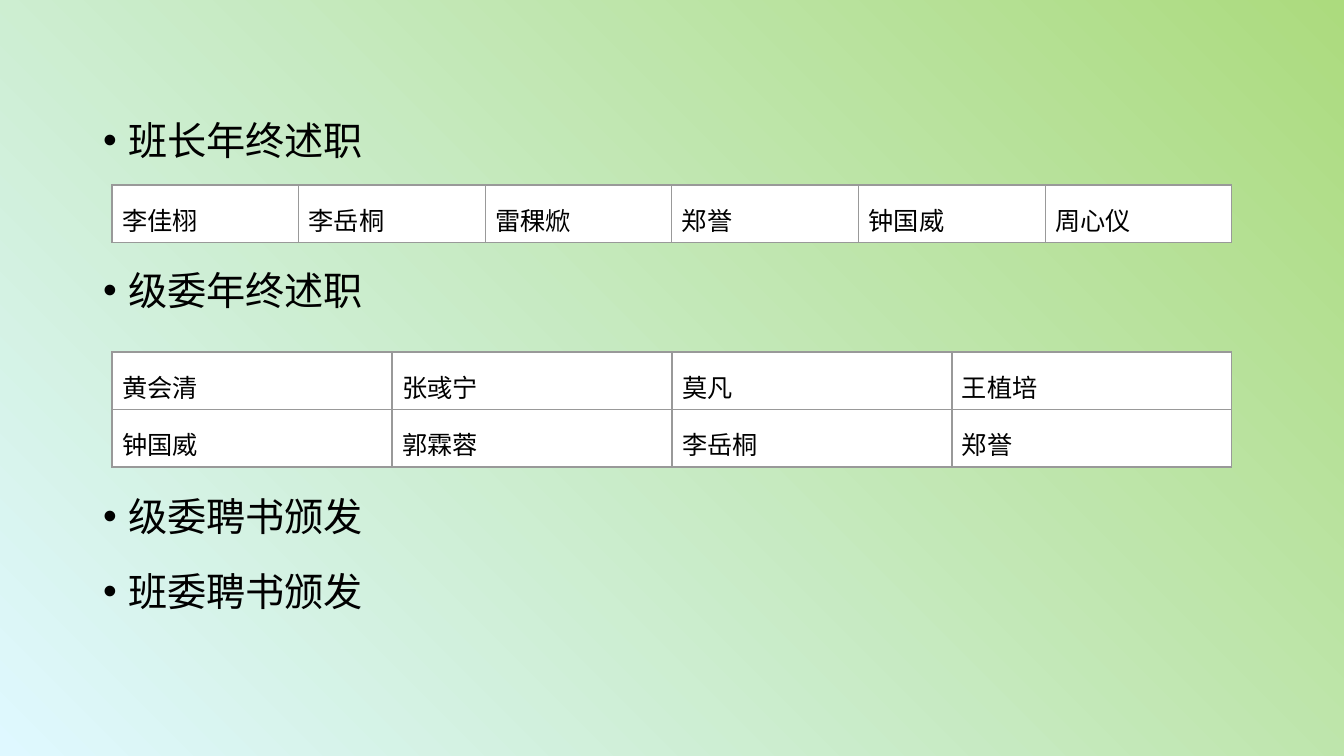
from lxml import etree
from pptx import Presentation
from pptx.dml.color import RGBColor
from pptx.enum.text import MSO_ANCHOR, MSO_AUTO_SIZE, PP_ALIGN
from pptx.oxml.ns import qn
from pptx.util import Emu, Pt

PX = 914400 / 100.8
TOP = MSO_ANCHOR.TOP
LEFT = PP_ALIGN.LEFT
NO_AUTOFIT = MSO_AUTO_SIZE.NONE

GREEN = RGBColor(0xAC, 0xDB, 0x7E)
PALE_BLUE = RGBColor(0xDF, 0xF8, 0xFF)
BLACK = RGBColor(0x00, 0x00, 0x00)
WHITE = RGBColor(0xFF, 0xFF, 0xFF)
GREY = RGBColor(0x99, 0x99, 0x99)

FONT = "Noto Sans CJK SC"
LINE_SPACING = 1.3
AGENDA_GAP = 10
AGENDA_STEP = 53.75
ROW_HEIGHT = 57

AGENDA = [
    ("班长年终述职", 0),
    ("级委年终述职", 1),
    ("级委聘书颁发", 2),
    ("班委聘书颁发", 0),
]
COMMITTEE = [
    ["黄会清", "张彧宁", "莫凡", "王植培"],
    ["钟国威", "郭霖蓉", "李岳桐", "郑誉"],
]
MONITORS = [["李佳栩", "李岳桐", "雷稞焮", "郑誉", "钟国威", "周心仪"]]


def px(length):
    return Emu(round(length * PX))


def format_paragraph(paragraph, size):
    paragraph.alignment = LEFT
    paragraph.line_spacing = LINE_SPACING
    font = paragraph.font
    font.size = Pt(size)
    font.name = FONT
    font.color.rgb = BLACK
    east_asian = etree.SubElement(font._element, qn("a:ea"))
    east_asian.set("typeface", FONT)


def paint_background(slide):
    fill = slide.background.fill
    fill.gradient()
    fill.gradient_angle = 225
    for stop, colour in zip(fill.gradient_stops, (GREEN, PALE_BLUE)):
        stop.color.rgb = colour


def fill_agenda(body, left, top, width, height):
    body.left, body.top = px(left), px(top)
    body.width, body.height = px(width), px(height)
    frame = body.text_frame
    frame.word_wrap = True
    frame.auto_size = NO_AUTOFIT
    frame.vertical_anchor = TOP
    frame.text = "\n".join(topic for topic, _ in AGENDA)
    for paragraph, (_, skipped_lines) in zip(frame.paragraphs, AGENDA):
        format_paragraph(paragraph, 28)
        paragraph.space_before = Pt(AGENDA_GAP + skipped_lines * AGENDA_STEP)
        properties = paragraph._p.get_or_add_pPr()
        properties.set("marL", str(px(25)))
        properties.set("indent", str(px(-25)))


def draw_borders(cell):
    properties = cell._tc.get_or_add_tcPr()
    for side in ("a:lnL", "a:lnR", "a:lnT", "a:lnB"):
        border = etree.SubElement(properties, qn(side), w=str(Pt(1)))
        solid = etree.SubElement(border, qn("a:solidFill"))
        etree.SubElement(solid, qn("a:srgbClr"), val=str(GREY))


def add_names(slide, names, left, top, width):
    row_count, column_count = len(names), len(names[0])
    roster = slide.shapes.add_table(
        row_count, column_count, px(left), px(top),
        px(width), px(ROW_HEIGHT * row_count)).table
    roster.first_row = False
    roster.horz_banding = False
    for column in roster.columns:
        column.width = px(width / column_count)
    for row, row_names in zip(roster.rows, names):
        row.height = px(ROW_HEIGHT)
        for cell, name in zip(row.cells, row_names):
            cell.text = name
            format_paragraph(cell.text_frame.paragraphs[0], 18)
            draw_borders(cell)
            cell.fill.solid()
            cell.fill.fore_color.rgb = WHITE


def build_agenda_slide(presentation):
    slide = presentation.slides.add_slide(presentation.slide_layouts[1])
    title = slide.shapes.title._element
    title.getparent().remove(title)
    paint_background(slide)
    fill_agenda(slide.placeholders[1], 93, 97, 1159, 626)
    add_names(slide, COMMITTEE, 112, 352, 1120)
    add_names(slide, MONITORS, 112, 185, 1120)


def main():
    presentation = Presentation()
    presentation.slide_width = px(1344)
    presentation.slide_height = px(756)
    build_agenda_slide(presentation)
    presentation.save("out.pptx")


if __name__ == "__main__":
    main()
